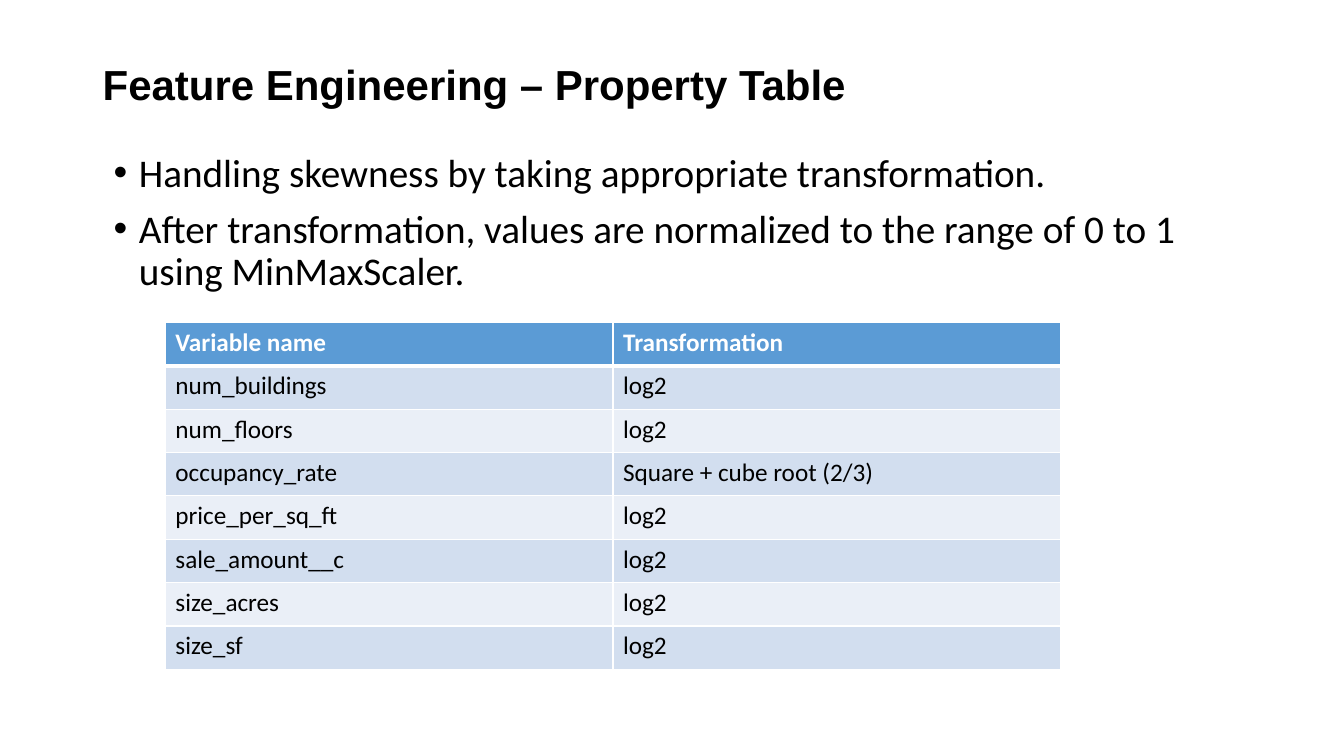
from lxml.etree import SubElement
from pptx import Presentation
from pptx.dml.color import RGBColor
from pptx.enum.text import MSO_ANCHOR as Anchor
from pptx.oxml.ns import qn
from pptx.util import Inches, Pt

BLACK = RGBColor(0x00, 0x00, 0x00)
WHITE = RGBColor(0xFF, 0xFF, 0xFF)
HEADER_BLUE = RGBColor(0x5B, 0x9B, 0xD5)
BAND_DARK = RGBColor(0xD2, 0xDE, 0xEF)
BAND_LIGHT = RGBColor(0xEA, 0xEF, 0xF7)

TITLE_FONT = {"name": "Arial", "size": Pt(30), "bold": True}
BODY_FONT = {"name": "Calibri", "size": Pt(28), "bold": False}
CELL_FONT = {"name": "Calibri", "size": Pt(18), "bold": False}
HEADER_FONT = {**CELL_FONT, "bold": True}

TITLE = "Feature Engineering – Property Table"
BULLETS = [
    "Handling skewness by taking appropriate transformation.",
    "After transformation, values are normalized to the range of 0 to 1 "
    "using MinMaxScaler.",
]
TRANSFORMATIONS = [
    ("Variable name", "Transformation"),
    ("num_buildings", "log2"),
    ("num_floors", "log2"),
    ("occupancy_rate", "Square + cube root (2/3)"),
    ("price_per_sq_ft", "log2"),
    ("sale_amount__c", "log2"),
    ("size_acres", "log2"),
    ("size_sf", "log2"),
]
COLUMN_WIDTH = Inches(4.44)
ROW_HEIGHT = Inches(0.43)


def write_run(paragraph, text, font_format, color):
    """Add a run of text with the given font values and colour."""
    run = paragraph.add_run()
    run.text = text
    for name, value in font_format.items():
        setattr(run.font, name, value)
    run.font.color.rgb = color


def set_bullet(paragraph):
    """Give a paragraph a round bullet with a hanging indent."""
    properties = paragraph._p.get_or_add_pPr()
    properties.set("marL", str(Inches(0.25)))
    properties.set("indent", str(-Inches(0.25)))
    SubElement(properties, qn("a:buFont"), typeface="Arial")
    SubElement(properties, qn("a:buChar"), char="•")


def add_text(slide, box, lines, font_format, anchor=Anchor.TOP, bulleted=False):
    """Add a wrapping text box with one paragraph per line."""
    frame = slide.shapes.add_textbox(*map(Inches, box)).text_frame
    frame.word_wrap = True
    frame.vertical_anchor = anchor
    for index, line in enumerate(lines):
        paragraph = frame.add_paragraph() if index else frame.paragraphs[0]
        paragraph.line_spacing = 0.9
        if bulleted:
            paragraph.space_before = Pt(10)
            set_bullet(paragraph)
        write_run(paragraph, line, font_format, BLACK)


def set_borders(cell, widths):
    """Draw white cell borders; widths maps a side to its points."""
    properties = cell._tc.get_or_add_tcPr()
    for side, width in widths.items():
        line = SubElement(properties, qn(f"a:ln{side}"), w=str(Pt(width)))
        fill = SubElement(line, qn("a:solidFill"))
        SubElement(fill, qn("a:srgbClr"), val=str(WHITE))


def format_cell(cell, text, row_index):
    """Write one cell with the borders, fill and font of its row."""
    widths = {"L": 1, "R": 1, "T": 1, "B": 1}
    if row_index == 0:
        widths["B"] = 3
        fill_color, font_format, text_color = HEADER_BLUE, HEADER_FONT, WHITE
    else:
        if row_index == 1:
            widths["T"] = 3
        fill_color = BAND_DARK if row_index % 2 else BAND_LIGHT
        font_format, text_color = CELL_FONT, BLACK
    set_borders(cell, widths)
    cell.fill.solid()
    cell.fill.fore_color.rgb = fill_color
    write_run(cell.text_frame.paragraphs[0], text, font_format, text_color)


def add_transformation_table(slide, left, top, rows):
    """Add the banded table of variables and their transformations."""
    row_count, column_count = len(rows), len(rows[0])
    table = slide.shapes.add_table(
        row_count, column_count, left, top,
        COLUMN_WIDTH * column_count, ROW_HEIGHT * row_count,
    ).table
    for column in table.columns:
        column.width = COLUMN_WIDTH
    for row_index, texts in enumerate(rows):
        table.rows[row_index].height = ROW_HEIGHT
        for column_index, text in enumerate(texts):
            format_cell(table.cell(row_index, column_index), text, row_index)


def main():
    """Build the slide and save it."""
    presentation = Presentation()
    presentation.slide_width = Inches(13.33)
    presentation.slide_height = Inches(7.5)
    slide = presentation.slides.add_slide(presentation.slide_layouts[6])
    add_text(slide, (1.03, 1.47, 11.5, 5.48), BULLETS, BODY_FONT, bulleted=True)
    add_text(slide, (0.92, 0.45, 11.5, 0.83), [TITLE], TITLE_FONT, Anchor.MIDDLE)
    add_transformation_table(slide, Inches(1.64), Inches(3.2), TRANSFORMATIONS)
    presentation.save("out.pptx")


main()
